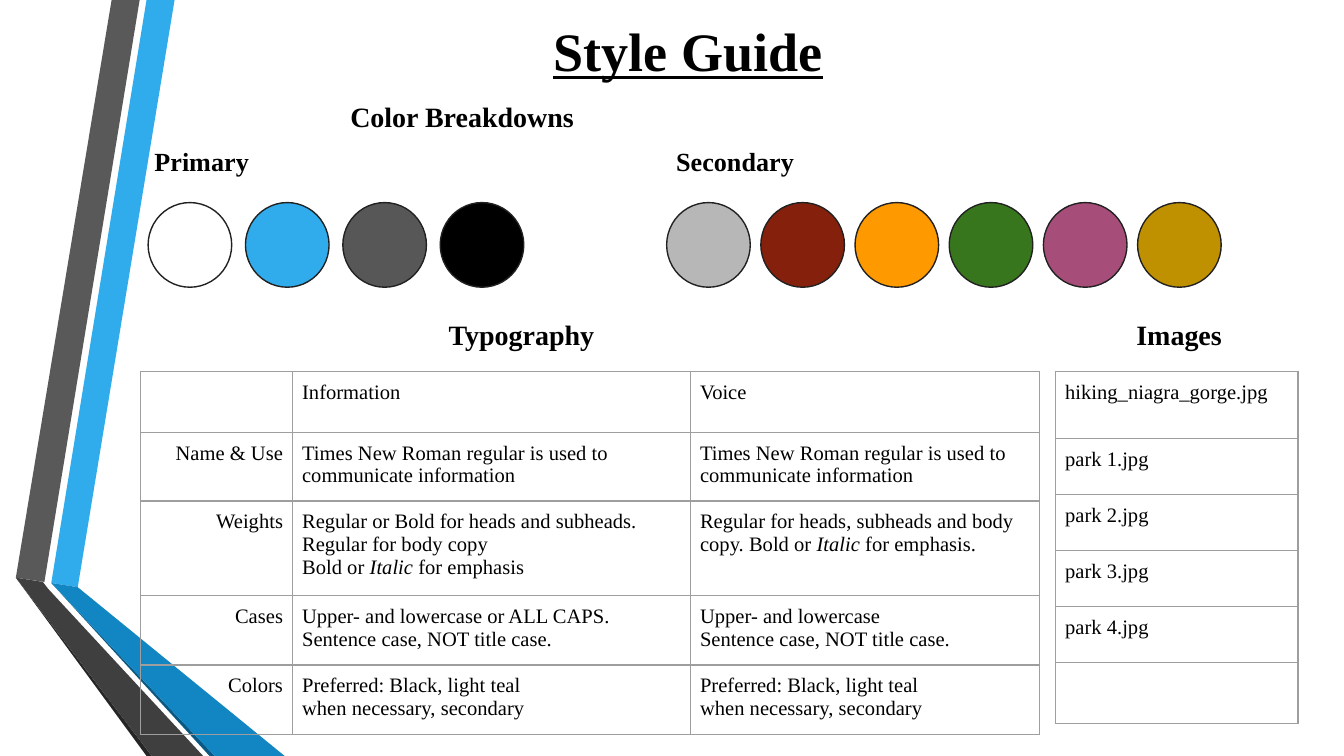
import pptx
import pptx.util
import pptx.dml.color
import pptx.enum.shapes
import pptx.enum.text
import pptx.oxml
import pptx.oxml.ns
from pptx.util import Cm

COLORS = {
    "text": "000000", "outline": "212121", "border": "9E9E9E",
    "white": "FFFFFF", "teal": "30ACEC", "gray": "575757", "black": "000000",
    "silver": "B7B7B7", "brick": "85200C", "orange": "FF9900",
    "green": "38761D", "plum": "A64D79", "gold": "BF9000",
    "stripe": "595959", "fold": "3F3F3F", "fold_edge": "262626",
    "teal_fold": "1186C3", "teal_edge": "0B5982",
}
FONT = "Times New Roman"
INSET = Cm(0.18)
ALIGN = pptx.enum.text.PP_ALIGN
BOTTOM = 14.29

RIBBONS = [
    ("teal", [(0.97, 11.02), (1.47, 11.1), (3.3, 0), (2.77, 0)]),
    ("stripe", [(2.64, 0), (2.11, 0), (0.3, 10.92), (0.84, 11)]),
    ("fold_edge", [(0.3, 10.92), (2.77, BOTTOM), (2.87, BOTTOM)]),
    ("teal_edge", [(0.97, 11.02), (3.96, BOTTOM), (4.06, BOTTOM)]),
    ("teal_fold", [(0.97, 11.02), (4.06, BOTTOM), (5.38, BOTTOM), (1.47, 11.1)]),
    ("fold", [(3.84, BOTTOM), (0.91, 11.13), (0.81, 11), (0.3, 10.92), (2.87, BOTTOM)]),
]
TYPOGRAPHY = [
    ["", "Information", "Voice"],
    ["Name & Use"] + ["Times New Roman regular is used to communicate information"] * 2,
    ["Weights",
     "Regular or Bold for heads and subheads.\nRegular for body copy\nBold or *Italic* for emphasis",
     "Regular for heads, subheads and body copy. Bold or* Italic* for emphasis."],
    ["Cases",
     "Upper- and lowercase or ALL CAPS.\nSentence case, NOT title case.",
     "Upper- and lowercase\nSentence case, NOT title case."],
    ["Colors"] + ["Preferred: Black, light teal\nwhen necessary, secondary"] * 2,
]
IMAGES = [["hiking_niagra_gorge.jpg"]] + [[f"park {n}.jpg"] for n in range(1, 5)] + [[""]]


def rgb(name):
    """Return the named colour."""
    return pptx.dml.color.RGBColor.from_string(COLORS[name])


def write(tf, text, size=11, bold=False, underline=False, align=ALIGN.LEFT):
    """Fill a text frame, one paragraph a line, with *asterisks* for italics."""
    tf.word_wrap = True
    for i, line in enumerate(text.split("\n")):
        p = tf.paragraphs[0] if i == 0 else tf.add_paragraph()
        p.alignment = align
        for j, part in enumerate(line.split("*")):
            r = p.add_run()
            r.text = part
            r.font.name = FONT
            r.font.size = pptx.util.Pt(size)
            r.font.bold = bold
            r.font.underline = underline
            r.font.italic = j % 2 == 1
            r.font.color.rgb = rgb("text")


def set_insets(obj):
    """Give a text frame or cell equal margins and top anchoring."""
    obj.margin_left = obj.margin_right = obj.margin_top = obj.margin_bottom = INSET
    obj.vertical_anchor = pptx.enum.text.MSO_ANCHOR.TOP


def add_title(s, text):
    """Place and format the slide title."""
    sp = s.shapes.title
    sp.left, sp.top, sp.width, sp.height = Cm(6.07), Cm(0.15), Cm(13.87), Cm(1.63)
    set_insets(sp.text_frame)
    write(sp.text_frame, text, size=29, bold=True, underline=True, align=ALIGN.CENTER)


def add_heading(s, text, x, y, w, size=15, align=ALIGN.CENTER):
    """Add a bold heading."""
    tf = s.shapes.add_textbox(Cm(x), Cm(y), Cm(w), Cm(1)).text_frame
    set_insets(tf)
    write(tf, text, size=size, bold=True, align=align)


def add_ribbon(s, color, points):
    """Add a closed polygon without outline."""
    points = [(Cm(x), Cm(y)) for x, y in points]
    builder = s.shapes.build_freeform(*points[0])
    builder.add_line_segments(points[1:], close=True)
    sp = builder.convert_to_shape()
    sp.shadow.inherit = False
    sp.fill.solid()
    sp.fill.fore_color.rgb = rgb(color)
    sp.line.fill.background()


def add_swatches(s, names, x, step):
    """Add a row of colour circles."""
    for i, name in enumerate(names):
        sp = s.shapes.add_shape(pptx.enum.shapes.MSO_SHAPE.OVAL,
                                Cm(x + i * step), Cm(3.83), Cm(1.58), Cm(1.6))
        sp.shadow.inherit = False
        sp.fill.solid()
        sp.fill.fore_color.rgb = rgb(name)
        sp.line.color.rgb = rgb("outline")
        sp.line.width = pptx.util.Pt(0.75)


def set_borders(cell):
    """Draw a thin line on each side of a cell."""
    tcPr = cell._tc.get_or_add_tcPr()
    for i, side in enumerate("LRTB"):
        tcPr.insert(i, pptx.oxml.parse_xml(
            f'<a:ln{side} {pptx.oxml.ns.nsdecls("a")} w="9525"><a:solidFill>'
            f'<a:srgbClr val="{COLORS["border"]}"/></a:solidFill></a:ln{side}>'))


def add_grid(s, rows, x, widths, heights):
    """Add an unfilled bordered table; a first column of labels is right aligned."""
    table = s.shapes.add_table(len(rows), len(widths), Cm(x), Cm(7.02),
                               Cm(sum(widths)), Cm(sum(heights))).table
    table.first_row = table.horz_banding = False
    for col, w in zip(table.columns, widths):
        col.width = Cm(w)
    for row, h in zip(table.rows, heights):
        row.height = Cm(h)
    for i, texts in enumerate(rows):
        for j, text in enumerate(texts):
            cell = table.cell(i, j)
            set_insets(cell)
            cell.fill.background()
            set_borders(cell)
            if text:
                label = j == 0 and len(widths) > 1
                write(cell.text_frame, text, align=ALIGN.RIGHT if label else ALIGN.LEFT)


def main():
    """Build the style guide slide."""
    prs = pptx.Presentation()
    prs.slide_width, prs.slide_height = Cm(25.4), Cm(BOTTOM)
    s = prs.slides.add_slide(prs.slide_layouts[5])
    for color, points in RIBBONS:
        add_ribbon(s, color, points)
    add_title(s, "Style Guide")
    add_heading(s, "Color Breakdowns", 4.95, 1.7, 7.57)
    add_heading(s, "Primary", 2.74, 2.57, 2.34, size=14, align=ALIGN.LEFT)
    add_swatches(s, ["white", "teal", "gray", "black"], 2.8, 1.84)
    add_heading(s, "Secondary", 12.6, 2.57, 3.76, size=14, align=ALIGN.LEFT)
    add_swatches(s, ["silver", "brick", "orange", "green", "plum", "gold"], 12.6, 1.78)
    add_heading(s, "Typography", 6.07, 5.82, 7.57)
    add_grid(s, TYPOGRAPHY, 2.66, [2.87, 7.52, 6.6], [1.15, 1.3, 1.79, 1.31, 1.31])
    add_heading(s, "Images", 19.91, 5.82, 4.75)
    add_grid(s, IMAGES, 19.95, [4.58], [1.27] + [1.06] * 4 + [1.14])
    prs.save("out.pptx")


if __name__ == "__main__":
    main()
